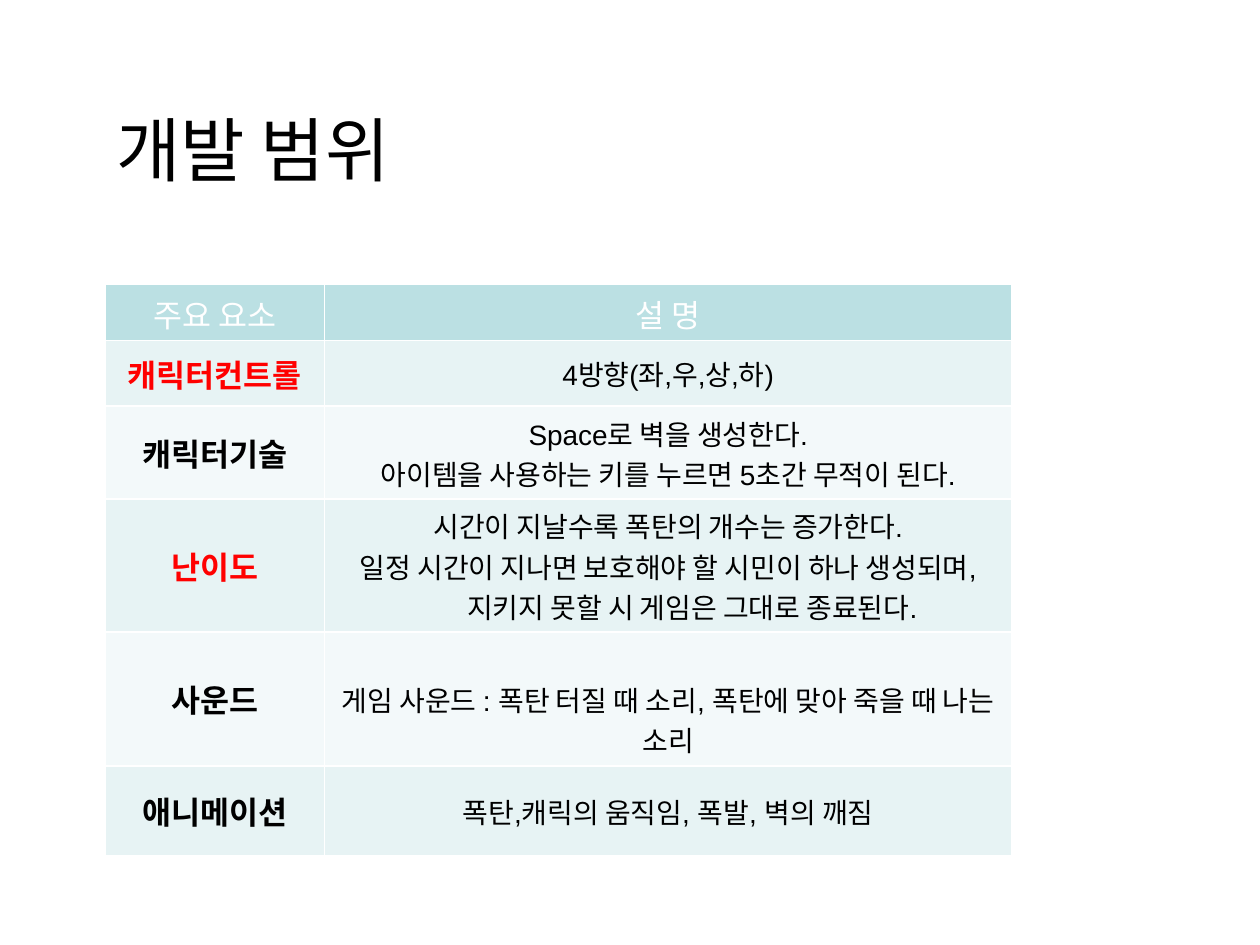
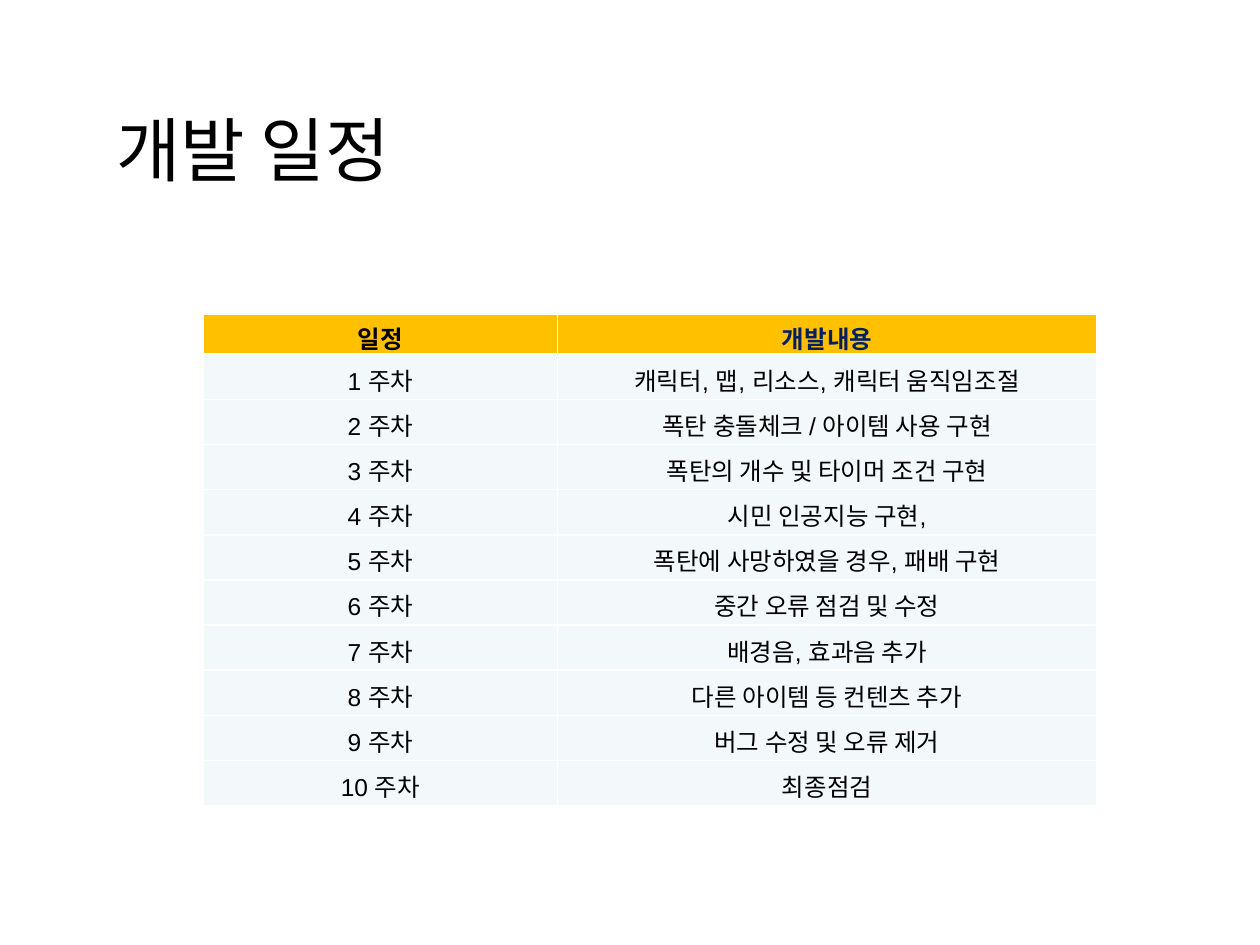
from dataclasses import dataclass

from lxml import etree
from pptx import Presentation
from pptx import util as u
from pptx.dml.color import RGBColor
from pptx.enum import text
from pptx.oxml import ns


@dataclass(frozen=True)
class Theme:
    title_font: str = "Arial Narrow"
    body_font: str = "Arial"
    title_size: int = 40
    label_size: int = 18
    detail_size: int = 16
    schedule_size: int = 14
    black: str = "000000"
    white: str = "FFFFFF"
    red: str = "FF0000"
    navy: str = "002060"
    amber: str = "FFC000"
    teal: str = "BBE0E3"
    dark_band: str = "E7F3F4"
    light_band: str = "F3F9FA"


theme = Theme()


def style_font(font, name, size, color, bold=False):
    font.name = name
    font.size = u.Pt(size)
    font.color.rgb = RGBColor.from_string(color)
    font.bold = bold


def add_table_slide(title, left, top, widths, heights, margins):
    """Add a titled slide and return its table, with white cell borders."""
    slide = presentation.slides.add_slide(presentation.slide_layouts[6])
    box = slide.shapes.add_textbox(u.Cm(2.1), u.Cm(1.93), u.Cm(17.4), u.Cm(2.13))
    box.text_frame.word_wrap = True
    box.text_frame.vertical_anchor = text.MSO_ANCHOR.MIDDLE
    paragraph = box.text_frame.paragraphs[0]
    paragraph.text = title
    style_font(paragraph.font, theme.title_font, theme.title_size, theme.black)

    table = slide.shapes.add_table(
        len(heights), len(widths), u.Cm(left), u.Cm(top),
        u.Cm(sum(widths)), u.Cm(sum(heights))).table
    table.first_row = table.horz_banding = False
    for column, width in zip(table.columns, widths):
        column.width = u.Cm(width)
    for row, height in zip(table.rows, heights):
        row.height = u.Cm(height)
    for cell in table.iter_cells():
        cell.vertical_anchor = text.MSO_ANCHOR.MIDDLE
        cell.margin_left = cell.margin_right = u.Cm(margins[0])
        cell.margin_top = cell.margin_bottom = u.Cm(margins[1])
        properties = cell._tc.get_or_add_tcPr()
        for side in ("a:lnL", "a:lnR", "a:lnT", "a:lnB"):
            line = etree.SubElement(properties, ns.qn(side), w=str(u.Pt(1)))
            fill = etree.SubElement(line, ns.qn("a:solidFill"))
            etree.SubElement(fill, ns.qn("a:srgbClr"), val=theme.white)
    return table


presentation = Presentation()
presentation.slide_width = u.Cm(25.4)
presentation.slide_height = u.Cm(19.05)

# Development scope: label, label colour, description, hanging indent in cm
scope = [
    ("주요 요소", theme.white, "설 명", 0),
    ("캐릭터컨트롤", theme.red, "4방향(좌,우,상,하)", 0),
    ("캐릭터기술", theme.black,
     "Space로 벽을 생성한다.\n아이템을 사용하는 키를 누르면 5초간 무적이 된다.", 0),
    ("난이도", theme.red,
     "시간이 지날수록 폭탄의 개수는 증가한다.\n"
     "일정 시간이 지나면 보호해야 할 시민이 하나 생성되며, "
     "지키지 못할 시 게임은 그대로 종료된다.", 0.97),
    ("사운드", theme.black,
     "게임 사운드 : 폭탄 터질 때 소리, 폭탄에 맞아 죽을 때 나는 소리", 0),
    ("애니메이션", theme.black, "폭탄,캐릭의 움직임, 폭발, 벽의 깨짐", 0.97),
]
scope_table = add_table_slide(
    "개발 범위", 2.12, 5.74, [4.42, 13.86],
    [1.13, 1.32, 1.87, 2.68, 2.7, 1.82], (0.25, 0.13))
for row, (label, label_color, description, indent) in enumerate(scope):
    is_header = row == 0
    band = theme.dark_band if row % 2 else theme.light_band
    for column, content in enumerate((label, description)):
        cell = scope_table.cell(row, column)
        cell.text = content
        cell.fill.solid()
        cell.fill.fore_color.rgb = RGBColor.from_string(theme.teal if is_header else band)
        is_label = column == 0
        size = theme.label_size if is_label or is_header else theme.detail_size
        color = label_color if is_label or is_header else theme.black
        for paragraph in cell.text_frame.paragraphs:
            paragraph.alignment = text.PP_ALIGN.CENTER
            style_font(paragraph.font, theme.body_font, size, color, is_label and not is_header)
            if indent and not is_label:
                properties = paragraph._p.get_or_add_pPr()
                properties.set("marL", str(u.Cm(indent)))
                properties.set("indent", str(-u.Cm(indent)))
# The sound description sits one line lower than centred
scope_table.cell(4, 1).margin_top = u.Cm(0.94)

# Development schedule: one row per week
weekly_work = [
    "캐릭터, 맵, 리소스, 캐릭터 움직임조절",
    "폭탄 충돌체크 / 아이템 사용 구현",
    "폭탄의 개수 및 타이머 조건 구현",
    "시민 인공지능 구현,",
    "폭탄에 사망하였을 경우, 패배 구현",
    "중간 오류 점검 및 수정",
    "배경음, 효과음 추가",
    "다른 아이템 등 컨텐츠 추가",
    "버그 수정 및 오류 제거",
    "최종점검",
]
schedule = [("일정", "개발내용")]
schedule += [(f"{week} 주차", work) for week, work in enumerate(weekly_work, 1)]
schedule_table = add_table_slide(
    "개발 일정", 4.1, 6.34, [7.14, 10.87],
    [0.8] + [0.91] * len(weekly_work), (0.18, 0))
for row, contents in enumerate(schedule):
    is_header = row == 0
    for column, content in enumerate(contents):
        cell = schedule_table.cell(row, column)
        cell.text = content
        cell.fill.solid()
        cell.fill.fore_color.rgb = RGBColor.from_string(
            theme.amber if is_header else theme.light_band)
        paragraph = cell.text_frame.paragraphs[0]
        paragraph.alignment = text.PP_ALIGN.CENTER
        paragraph.line_spacing = 1.15
        paragraph.space_after = u.Pt(10)
        color = theme.navy if is_header and column == 1 else theme.black
        style_font(paragraph.font, theme.body_font, theme.schedule_size, color, is_header)

presentation.save("out.pptx")
